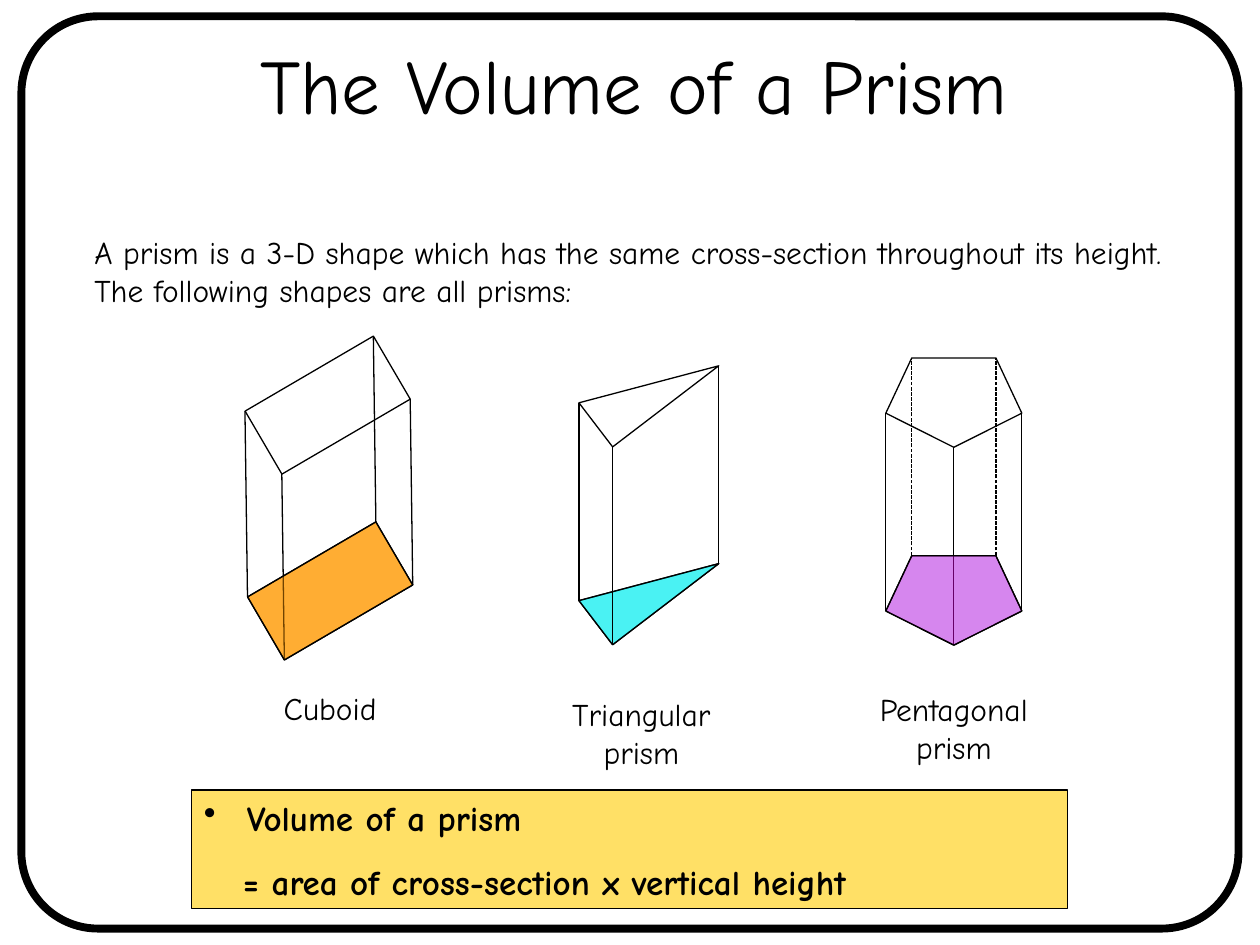
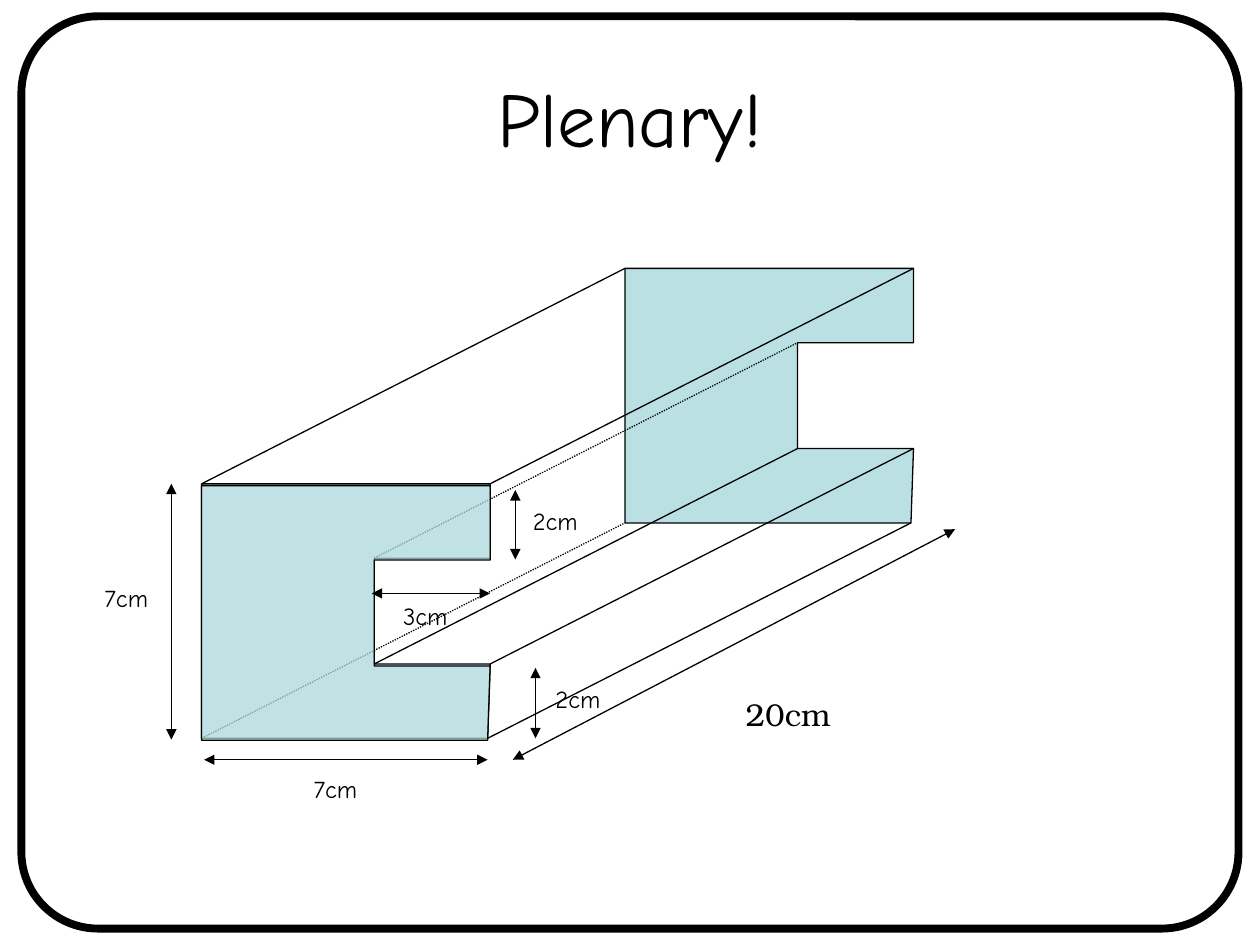
"""Build two maths slides on the volume of a prism."""
from dataclasses import dataclass
from math import cos, radians, sin
from typing import NamedTuple, Optional

from pptx import Presentation
from pptx.dml.color import RGBColor
from pptx.enum.dml import MSO_LINE
from pptx.enum.shapes import MSO_CONNECTOR, MSO_SHAPE
from pptx.enum.text import MSO_ANCHOR, PP_ALIGN
from pptx.oxml.ns import qn
from pptx.oxml.xmlchemy import OxmlElement
from pptx.util import Emu, Inches, Pt

WIDTH, HEIGHT = Inches(10), Inches(7.5)
COLS, ROWS = 100, 75

BLACK = RGBColor(0x00, 0x00, 0x00)
PALE_BLUE = RGBColor(0xBB, 0xE0, 0xE3)
ORANGE = RGBColor(0xFF, 0x99, 0x00)
CYAN = RGBColor(0x00, 0xFF, 0xFF)
MAGENTA = RGBColor(0xFF, 0x00, 0xFF)
GOLD = RGBColor(0xFF, 0xCC, 0x00)

FONT, SERIF = "Comic Neue", "TeX Gyre Bonum"
THIN, THICK = 0.75, 4.5
LEFT, CENTER = PP_ALIGN.LEFT, PP_ALIGN.CENTER


class Point(NamedTuple):
    x: float
    y: float

    def moved(self, by: "Point") -> "Point":
        return Point(self.x + by.x, self.y + by.y)


class Box(NamedTuple):
    x: float
    y: float
    w: float
    h: float

    def moved(self, by: Point) -> "Box":
        return Box(self.x + by.x, self.y + by.y, self.w, self.h)

    def emu(self) -> tuple:
        return col(self.x), row(self.y), col(self.w), row(self.h)


class Fill(NamedTuple):
    color: RGBColor
    alpha: int = 100


class Label(NamedTuple):
    text: str
    box: Box
    size: float = 18
    align: PP_ALIGN = LEFT
    font: str = FONT


@dataclass
class Prism:
    shape: MSO_SHAPE
    base: Box
    turn: float
    lift: Point
    corners: tuple
    under: tuple
    over: tuple = ()
    hidden: tuple = ()

    def corner(self, share: tuple) -> Point:
        b, a = self.base, radians(self.turn)
        dx, dy = (share[0] - 0.5) * b.w, (share[1] - 0.5) * b.h
        return Point(b.x + b.w / 2 + dx * cos(a) - dy * sin(a),
                     b.y + b.h / 2 + dx * sin(a) + dy * cos(a))


PRISMS = (
    Prism(MSO_SHAPE.RECTANGLE, Box(20.3, 44, 11.8, 5.8), 149.7, Point(-0.2, -14.75),
          ((0, 0), (1, 0), (1, 1), (0, 1)),
          under=(Fill(ORANGE, 64),), over=(Fill(ORANGE, 44),)),
    Prism(MSO_SHAPE.RIGHT_TRIANGLE, Box(46.2, 44, 10.6, 4.4), 322.6, Point(0, -15.7),
          ((0, 0), (0, 1), (1, 1)),
          under=(Fill(PALE_BLUE), Fill(CYAN, 60))),
    Prism(MSO_SHAPE.REGULAR_PENTAGON, Box(70.3, 44.1, 10.8, 7.1), 180, Point(0, -15.7),
          ((0.5, 0), (1, 0.38), (0.81, 1), (0.19, 1), (0, 0.38)),
          under=(Fill(PALE_BLUE),), over=(Fill(MAGENTA, 40),), hidden=(2, 3)),
)
PRISM_LABELS = (
    Label("A prism is a 3-D shape which has the same cross-section throughout its height."
          "\vThe following shapes are all prisms:", Box(6.5, 18, 88.2, 7)),
    Label("Cuboid", Box(19.2, 54.2, 14, 4), align=CENTER),
    Label("Triangular prism", Box(43.9, 54.7, 14, 7), align=CENTER),
    Label("Pentagonal prism", Box(66.7, 54.3, 18, 7), align=CENTER),
)
FORMULA_BOX = Box(15.2, 62.7, 69.5, 9.4)

FRONT, DEPTH = Point(16, 38.4), Point(33.6, -17.1)
PROFILE = tuple(Point(*p).moved(FRONT) for p in (
    (0, 0), (22.9, 0), (22.9, 5.9), (13.7, 5.9),
    (13.7, 14.3), (22.9, 14.3), (22.7, 20.2), (0, 20.2)))
SOLID_EDGES, DOTTED_EDGES = (0, 1, 4, 5, 6), (3, 7)
ARROWS = (
    (Point(75.8, 42), Point(40.7, 60.3)),
    (Point(16.2, 60.3), Point(38.7, 60.3)),
    (Point(13.6, 38.4), Point(13.6, 58.7)),
    (Point(42.5, 53), Point(42.5, 58.6)),
    (Point(40.9, 38.9), Point(40.9, 44.4)),
    (Point(29.5, 47.1), Point(38.9, 47.1)),
)
SIZE_LABELS = (Label("20cm", Box(58.2, 54.7, 9.2, 4), font=SERIF),) + tuple(
    Label(text, Box(x, y, 9.2, 3.4), 14) for text, x, y in (
        ("3cm", 31, 47.2), ("2cm", 41.3, 39.7), ("2cm", 43.1, 53.8),
        ("7cm", 7.3, 45.8), ("7cm", 23.9, 60.9)))


def col(n: float) -> Emu:
    return Emu(round(WIDTH * n / COLS))


def row(n: float) -> Emu:
    return Emu(round(HEIGHT * n / ROWS))


def add_xml(parent, tag: str, **attrs: str) -> None:
    """Append a child element with the given attributes."""
    el = OxmlElement(tag)
    for name, value in attrs.items():
        el.set(name, value)
    parent.append(el)


def paint(sp, fill: Optional[Fill] = None, width: float = THIN) -> None:
    """Give a shape its fill and black outline."""
    sp.shadow.inherit = False
    sp.line.color.rgb = BLACK
    sp.line.width = Pt(width)
    if fill is None:
        sp.fill.background()
        return
    sp.fill.solid()
    sp.fill.fore_color.rgb = fill.color
    if fill.alpha < 100:
        color = sp.element.spPr.find(qn("a:solidFill"))[0]
        add_xml(color, "a:alpha", val=str(fill.alpha * 1000))


def add_block(slide, shape: MSO_SHAPE, box: Box, fill: Optional[Fill] = None,
              turn: float = 0, width: float = THIN):
    """Add a painted preset shape."""
    sp = slide.shapes.add_shape(shape, *box.emu())
    sp.rotation = turn
    paint(sp, fill, width)
    return sp


def add_outline(slide, points: tuple, fill: Fill) -> None:
    """Add a closed outline through the points."""
    pts = [(col(p.x), row(p.y)) for p in points]
    builder = slide.shapes.build_freeform(*pts[0])
    builder.add_line_segments(pts[1:], close=True)
    paint(builder.convert_to_shape(), fill)


def add_line(slide, start: Point, end: Point, dash: Optional[MSO_LINE] = None,
             arrows: bool = False) -> None:
    """Add a thin black line, dashed or with two arrowheads on request."""
    sp = slide.shapes.add_connector(MSO_CONNECTOR.STRAIGHT, col(start.x), row(start.y),
                                    col(end.x), row(end.y))
    sp.line.color.rgb = BLACK
    sp.line.width = Pt(THIN)
    if dash is not None:
        sp.line.dash_style = dash
    spPr = sp.element.spPr
    if arrows:
        for tag in ("a:headEnd", "a:tailEnd"):
            add_xml(spPr.find(qn("a:ln")), tag, type="triangle")
    add_xml(spPr, "a:effectLst")


def style(p, size: float, align: PP_ALIGN = LEFT, font: str = FONT, bold: bool = False) -> None:
    """Format a paragraph."""
    p.alignment = align
    formats = {"name": font, "size": Pt(size), "bold": bold}
    for r in p.runs:
        for name, value in formats.items():
            setattr(r.font, name, value)
        r.font.color.rgb = BLACK


def add_label(slide, label: Label) -> None:
    """Add a wrapped text box."""
    tf = slide.shapes.add_textbox(*label.box.emu()).text_frame
    tf.word_wrap = True
    tf.text = label.text
    style(tf.paragraphs[0], label.size, label.align, label.font)


def add_formula(slide) -> None:
    """Add the gold box with the volume rule."""
    tf = add_block(slide, MSO_SHAPE.RECTANGLE, FORMULA_BOX, Fill(GOLD, 60)).text_frame
    tf.word_wrap = True
    tf.vertical_anchor = MSO_ANCHOR.TOP
    tf.text = "Volume of a prism\n= area of cross-section x vertical height"
    head, rule = tf.paragraphs
    for p, margin, hang in ((head, 3.4, -3.4), (rule, 3.1, 0)):
        pPr = p._p.get_or_add_pPr()
        pPr.set("marL", str(col(margin)))
        pPr.set("indent", str(col(hang)))
        style(p, 20, bold=True)
    rule.space_before = Pt(12.5)
    add_xml(head._p.pPr, "a:buChar", char="•")


def add_prism(slide, prism: Prism) -> None:
    """Draw the base, the top and the upright edges of a prism."""
    for fill in prism.under:
        add_block(slide, prism.shape, prism.base, fill, prism.turn)
    add_block(slide, prism.shape, prism.base.moved(prism.lift), turn=prism.turn)
    for i, share in enumerate(prism.corners):
        foot = prism.corner(share)
        dash = MSO_LINE.SQUARE_DOT if i in prism.hidden else None
        add_line(slide, foot, foot.moved(prism.lift), dash)
    for fill in prism.over:
        add_block(slide, prism.shape, prism.base, fill, prism.turn)


def add_channel(slide) -> None:
    """Draw the C-shaped prism with its long edges."""
    add_outline(slide, tuple(p.moved(DEPTH) for p in PROFILE), Fill(PALE_BLUE))
    add_outline(slide, PROFILE, Fill(PALE_BLUE, 70))
    for corners, dash in ((SOLID_EDGES, None), (DOTTED_EDGES, MSO_LINE.ROUND_DOT)):
        for i in corners:
            add_line(slide, PROFILE[i], PROFILE[i].moved(DEPTH), dash)
    add_outline(slide, tuple(p.moved(Point(0, 0.15)) for p in PROFILE), Fill(PALE_BLUE, 70))


def add_slide(prs, title: str, box: Box):
    """Add a slide with its title and rounded frame."""
    slide = prs.slides.add_slide(prs.slide_layouts[5])
    sp = slide.shapes.title
    sp.left, sp.top, sp.width, sp.height = box.emu()
    tf = sp.text_frame
    tf.text = title
    tf.vertical_anchor = MSO_ANCHOR.MIDDLE
    style(tf.paragraphs[0], 44, CENTER)
    frame = add_block(slide, MSO_SHAPE.ROUNDED_RECTANGLE, Box(1.7, 1.3, 96.6, 72.4), width=THICK)
    frame.adjustments[0] = 0.084
    return slide


def main() -> None:
    prs = Presentation()
    prs.slide_width, prs.slide_height = WIDTH, HEIGHT

    slide = add_slide(prs, "The Volume of a Prism", Box(6.6, 0, 87.5, 13.3))
    for prism in PRISMS:
        add_prism(slide, prism)
    for label in PRISM_LABELS:
        add_label(slide, label)
    add_formula(slide)

    slide = add_slide(prs, "Plenary!", Box(5, 3, 90, 12.5))
    add_channel(slide)
    for start, end in ARROWS:
        add_line(slide, start, end, arrows=True)
    for label in SIZE_LABELS:
        add_label(slide, label)

    prs.save("out.pptx")


if __name__ == "__main__":
    main()
